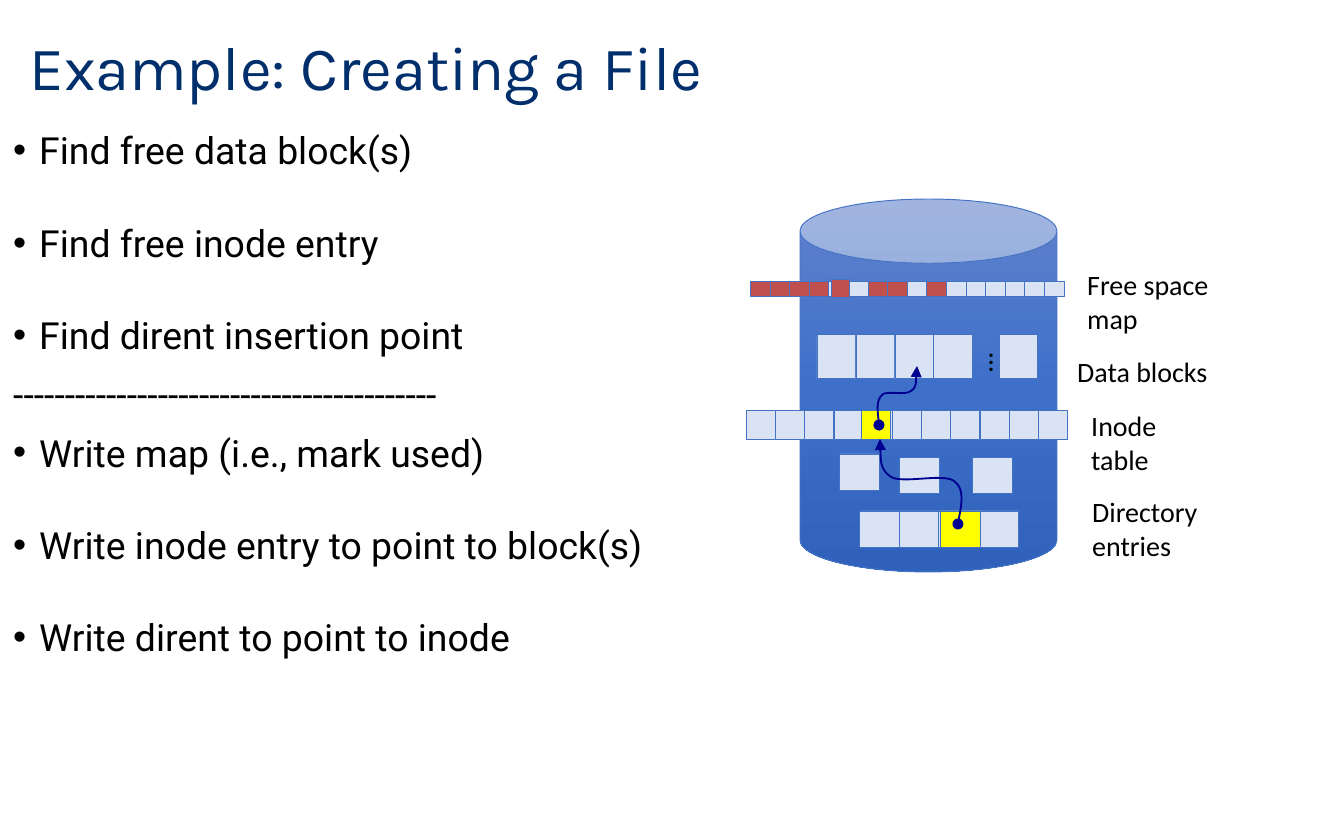
"""Build a slide showing how creating a file changes the structures on a disk."""
from copy import deepcopy
from dataclasses import dataclass

from lxml.etree import SubElement
from pptx import Presentation
from pptx.dml.color import RGBColor
from pptx.enum.shapes import MSO_SHAPE
from pptx.enum.text import MSO_ANCHOR, MSO_AUTO_SIZE, PP_ALIGN
from pptx.oxml.ns import qn
from pptx.util import Emu, Pt

SCALE = 914400 / 134.4
COLORS = {
    "title": "002F6C", "text": "000000", "line": "4472C4", "free": "DAE3F3",
    "used": "C0504D", "new": "FFFF00", "arrow": "000090",
    "can_top": "6183CB", "can_middle": "3E70CA", "can_bottom": "3062BB",
}


@dataclass(frozen=True)
class Box:
    left: int
    top: int
    width: int
    height: int


@dataclass(frozen=True)
class CellRow:
    first: Box
    last_left: int
    count: int
    used: tuple[int, ...] = ()


@dataclass(frozen=True)
class Label:
    lines: tuple[str, ...]
    box: Box
    wrap: bool = False
    rotation: int = 0


@dataclass(frozen=True)
class Step:
    text: str
    space_before: float
    bullet: bool = True


ROWS = [
    CellRow(Box(817, 335, 39, 44), 934, 4),
    CellRow(Box(751, 282, 20, 15), 1045, 16, (0, 1, 2, 3, 6, 7, 9)),
    CellRow(Box(746, 410, 30, 30), 1038, 11),
    CellRow(Box(860, 511, 40, 37), 979, 4),
]
SINGLE_CELLS = [
    (Box(999, 335, 39, 44), "free"),
    (Box(840, 454, 40, 37), "free"),
    (Box(900, 457, 40, 37), "free"),
    (Box(973, 457, 40, 37), "free"),
    (Box(831, 280, 19, 18), "used"),
    (Box(861, 411, 30, 29), "new"),
    (Box(941, 511, 40, 37), "new"),
]
LABELS = [
    Label(("Free space map",), Box(1074, 261, 159, 82), wrap=True),
    Label(("Data blocks",), Box(1064, 348, 163, 47)),
    Label(("Inode", "table"), Box(1078, 402, 155, 82)),
    Label(("Directory", "entries"), Box(1079, 488, 141, 82)),
    Label(("…",), Box(954, 335, 55, 47), rotation=270),
]
STEPS = [
    Step("Find free data block(s)", 7.5),
    Step("Find free inode entry", 25.4),
    Step("Find dirent insertion point", 25.4),
    Step("-" * 41, 7.5, bullet=False),
    Step("Write map (i.e., mark used)", 7.5),
    Step("Write inode entry to point to block(s)", 25.4),
    Step("Write dirent to point to inode", 25.4),
]
INODE_TO_BLOCK = [
    (879, 425), (878, 413), (876, 401), (882, 395), (886, 390),
    (905, 396), (911, 391), (917, 387), (917, 366), (917, 366),
]
DIRENT_TO_INODE = [
    (958, 524), (961, 507), (965, 489), (954, 481), (943, 473),
    (903, 484), (891, 477), (879, 469), (880, 439), (880, 439),
]


def px(length: float) -> Emu:
    """Turn px into EMU."""
    return Emu(round(length * SCALE))


def place(box: Box) -> tuple[Emu, Emu, Emu, Emu]:
    """Return the box's position and size in EMU."""
    return px(box.left), px(box.top), px(box.width), px(box.height)


def rgb(name: str) -> RGBColor:
    """Look up a named colour."""
    return RGBColor.from_string(COLORS[name])


def write_text(paragraph, text: str, *, font: str, size: float, color: str = "text",
               space_before: float = 0, bullet: bool = False) -> None:
    """Write one formatted run into a left-aligned paragraph."""
    paragraph.alignment = PP_ALIGN.LEFT
    paragraph.space_before = Pt(space_before)
    run = paragraph.add_run()
    run.text = text
    run.font.name, run.font.size = font, Pt(size)
    run.font.color.rgb = rgb(color)
    if bullet:
        properties = paragraph._p.get_or_add_pPr()
        properties.set("marL", str(px(26)))
        properties.set("indent", str(px(-26)))
        SubElement(properties, qn("a:buFont")).set("typeface", "Arial")
        SubElement(properties, qn("a:buChar")).set("char", "•")


def add_title(slide) -> None:
    """Move and format the title placeholder."""
    title = slide.shapes.title
    title.left, title.top, title.width, title.height = place(Box(16, 13, 1145, 116))
    frame = title.text_frame
    frame.auto_size, frame.vertical_anchor = MSO_AUTO_SIZE.NONE, MSO_ANCHOR.MIDDLE
    frame.paragraphs[0].line_spacing = 0.9
    write_text(frame.paragraphs[0], "Example: Creating a File", font="Karla", size=33, color="title")


def add_steps(slide) -> None:
    """Add the list of steps."""
    frame = slide.shapes.add_textbox(*place(Box(0, 121, 731, 672))).text_frame
    frame.word_wrap = True
    for index, step in enumerate(STEPS):
        paragraph = frame.add_paragraph() if index else frame.paragraphs[0]
        write_text(paragraph, step.text, font="Roboto", size=20,
                   space_before=step.space_before, bullet=step.bullet)


def add_label(slide, label: Label) -> None:
    """Add a label beside or inside the disk."""
    shape = slide.shapes.add_textbox(*place(label.box))
    shape.rotation = label.rotation
    frame = shape.text_frame
    frame.word_wrap = label.wrap
    for index, line in enumerate(label.lines):
        paragraph = frame.add_paragraph() if index else frame.paragraphs[0]
        write_text(paragraph, line, font="Calibri", size=15)


def add_outlined(slide, kind: MSO_SHAPE, box: Box):
    """Add a preset shape with a thin blue outline."""
    shape = slide.shapes.add_shape(kind, *place(box))
    shape.shadow.inherit = False
    shape.line.color.rgb, shape.line.width = rgb("line"), Pt(0.5)
    return shape


def add_disk(slide) -> None:
    """Add the disk with its three-stop gradient."""
    fill = add_outlined(slide, MSO_SHAPE.CAN, Box(800, 199, 257, 373)).fill
    fill.gradient()
    fill.gradient_angle = 270
    stop = fill.gradient_stops[0]._gs
    stop.addnext(deepcopy(stop))
    for index, name in enumerate(("can_top", "can_middle", "can_bottom")):
        gradient_stop = fill.gradient_stops[index]
        gradient_stop.color.rgb, gradient_stop.position = rgb(name), index / 2


def add_cell(slide, box: Box, color: str) -> None:
    """Add one storage cell."""
    fill = add_outlined(slide, MSO_SHAPE.RECTANGLE, box).fill
    fill.solid()
    fill.fore_color.rgb = rgb(color)


def add_row(slide, row: CellRow) -> None:
    """Add evenly spaced cells from the first to the last position."""
    first = row.first
    for index in range(row.count):
        left = round(first.left + (row.last_left - first.left) * index / (row.count - 1))
        add_cell(slide, Box(left, first.top, first.width, first.height),
                 "used" if index in row.used else "free")


def add_pointer(slide, points: list[tuple[int, int]]) -> None:
    """Add a curved arrow through groups of three Bezier points."""
    builder = slide.shapes.build_freeform(*points[0], scale=SCALE)
    builder.add_line_segments(points[1:], close=False)
    shape = builder.convert_to_shape()
    shape.shadow.inherit = False
    shape.fill.background()
    shape.line.color.rgb, shape.line.width = rgb("arrow"), Pt(1)
    for index, segment in enumerate(list(shape._element.iter(qn("a:lnTo")))):
        outline = segment.getparent()
        if index % 3 == 0:
            curve = SubElement(outline, qn("a:cubicBezTo"))
        curve.append(segment[0])
        outline.remove(segment)
    line = shape.line._get_or_add_ln()
    SubElement(line, qn("a:headEnd")).set("type", "oval")
    SubElement(line, qn("a:tailEnd")).set("type", "triangle")


def main() -> None:
    """Build and save the presentation."""
    presentation = Presentation()
    presentation.slide_width, presentation.slide_height = px(1344), px(840)
    slide = presentation.slides.add_slide(presentation.slide_layouts[5])
    add_title(slide)
    add_steps(slide)
    add_disk(slide)
    for row in ROWS:
        add_row(slide, row)
    for box, color in SINGLE_CELLS:
        add_cell(slide, box, color)
    for label in LABELS:
        add_label(slide, label)
    for points in (INODE_TO_BLOCK, DIRENT_TO_INODE):
        add_pointer(slide, points)
    presentation.save("out.pptx")


if __name__ == "__main__":
    main()
